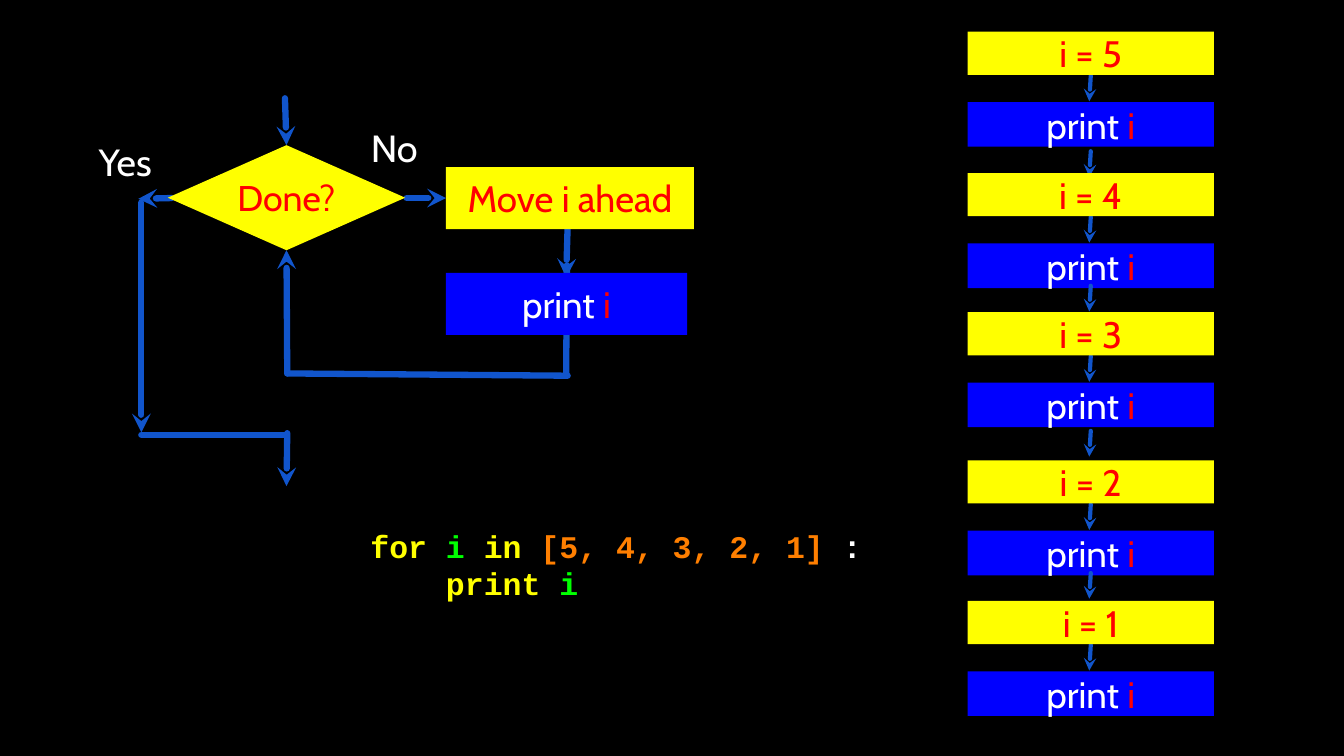
from dataclasses import dataclass

from lxml import etree
from pptx import Presentation
from pptx.dml.color import RGBColor
from pptx.enum.shapes import MSO_CONNECTOR, MSO_SHAPE
from pptx.enum.text import MSO_ANCHOR, PP_ALIGN
from pptx.oxml.ns import qn
from pptx.util import Pt

PX = 9144
RECT, DIAMOND = MSO_SHAPE.RECTANGLE, MSO_SHAPE.DIAMOND
STRAIGHT = MSO_CONNECTOR.STRAIGHT
MIDDLE = MSO_ANCHOR.MIDDLE
LEFT, CENTER = PP_ALIGN.LEFT, PP_ALIGN.CENTER


@dataclass(frozen=True)
class Theme:
    black: str = "000000"
    white: str = "FFFFFF"
    yellow: str = "FFFF00"
    blue: str = "0000FF"
    red: str = "FF0000"
    green: str = "00FF00"
    orange: str = "FF7F00"
    arrow: str = "1155CC"
    body_font: str = "Cabin"
    code_font: str = "Courier New"
    decision_size: int = 34
    box_size: int = 35
    label_size: int = 36
    code_size: int = 30
    thick: int = 6
    thin: int = 4


def px(*values):
    return [value * PX for value in values]


class FlowSlide:
    def __init__(self, prs, theme):
        self.theme = theme
        self.s = prs.slides.add_slide(prs.slide_layouts[6])
        self.paint(self.s.background.fill, theme.black)

    def paint(self, fill, color):
        fill.solid()
        fill.fore_color.rgb = RGBColor.from_string(color)

    def frame(self, sp):
        tf = sp.text_frame
        fmt = {"word_wrap": True, "vertical_anchor": MIDDLE, "margin_left": 0,
               "margin_right": 0, "margin_top": 0, "margin_bottom": 0}
        for name, value in fmt.items():
            setattr(tf, name, value)
        return tf

    def add_runs(self, p, runs, size, font, align=CENTER, bold=False):
        p.alignment = align
        fmt = {"name": font, "size": Pt(size), "bold": bold}
        for text, color in runs:
            r = p.add_run()
            r.text = text
            for name, value in fmt.items():
                setattr(r.font, name, value)
            r.font.color.rgb = RGBColor.from_string(color)

    def box(self, kind, at, fill, runs, size):
        sp = self.s.shapes.add_shape(kind, *px(*at))
        sp.shadow.inherit = False
        self.paint(sp.fill, fill)
        sp.line.fill.background()
        self.add_runs(self.frame(sp).paragraphs[0], runs, size, self.theme.body_font)

    def step(self, at, text):
        t = self.theme
        self.box(RECT, at, t.yellow, [(text, t.red)], t.box_size)

    def output(self, at):
        t = self.theme
        self.box(RECT, at, t.blue, [("print ", t.white), ("i", t.red)], t.box_size)

    def label(self, at, text):
        t = self.theme
        sp = self.s.shapes.add_textbox(*px(*at))
        self.add_runs(self.frame(sp).paragraphs[0], [(text, t.white)], t.label_size, t.body_font)

    def code(self, at, lines):
        t = self.theme
        tf = self.frame(self.s.shapes.add_textbox(*px(*at)))
        for n, (indent, runs) in enumerate(lines):
            p = tf.add_paragraph() if n else tf.paragraphs[0]
            self.add_runs(p, runs, t.code_size, t.code_font, LEFT, True)
            p._p.get_or_add_pPr().set("marL", str(indent * PX))

    def line(self, ends, width, arrow=True):
        sp = self.s.shapes.add_connector(STRAIGHT, *px(*ends))
        sp.line.width = Pt(width)
        self.paint(sp.line.fill, self.theme.arrow)
        props = sp._element.spPr
        ln = props.find(qn("a:ln"))
        ln.set("cap", "rnd")
        if arrow:
            etree.SubElement(ln, qn("a:tailEnd"), type="stealth")
        etree.SubElement(props, qn("a:effectLst"))


def draw_loop(flow, t):
    arrows = [
        (377, 130, 379, 192),
        (380, 494, 379, 331),
        (751, 297, 749, 367),
        (227, 262, 183, 263),
        (380, 573, 379, 643),
        (187, 268, 187, 572),
        (538, 262, 590, 262),
    ]
    links = [(750, 351, 749, 495), (380, 494, 751, 497), (187, 575, 378, 575)]
    for ends in arrows:
        flow.line(ends, t.thick)
    for ends in links:
        flow.line(ends, t.thick, arrow=False)
    flow.box(DIAMOND, (222, 192, 314, 139), t.yellow, [("Done?", t.red)], t.decision_size)
    flow.label((126, 179, 79, 68), "Yes")
    flow.label((482, 161, 79, 68), "No")
    flow.output((590, 361, 319, 82))
    flow.step((590, 221, 328, 82), "Move i ahead")


def draw_trace(flow, t):
    left, width = 1280, 326
    passes = [(5, 42, 158), (4, 229, 149), (3, 413, 157), (2, 609, 149), (1, 795, None)]
    for value, top, link in passes:
        flow.line((1443, top + 58, 1441, top + 92), t.thin)
        flow.output((left, top + 93, width, 59))
        flow.step((left, top, width, 57), f"i = {value}")
        if link:
            flow.line((1443, top + link, 1441, top + link + 34), t.thin)


def main():
    t = Theme()
    prs = Presentation()
    prs.slide_width, prs.slide_height = px(1778, 1000)
    flow = FlowSlide(prs, t)
    draw_loop(flow, t)
    draw_trace(flow, t)
    flow.code((490, 684, 685, 125), [
        (0, [("for ", t.yellow), ("i ", t.green), ("in ", t.yellow),
             ("[5, 4, 3, 2, 1] ", t.orange), (":", t.white)]),
        (100, [("print ", t.yellow), ("i", t.green)]),
    ])
    prs.save("out.pptx")


if __name__ == "__main__":
    main()
